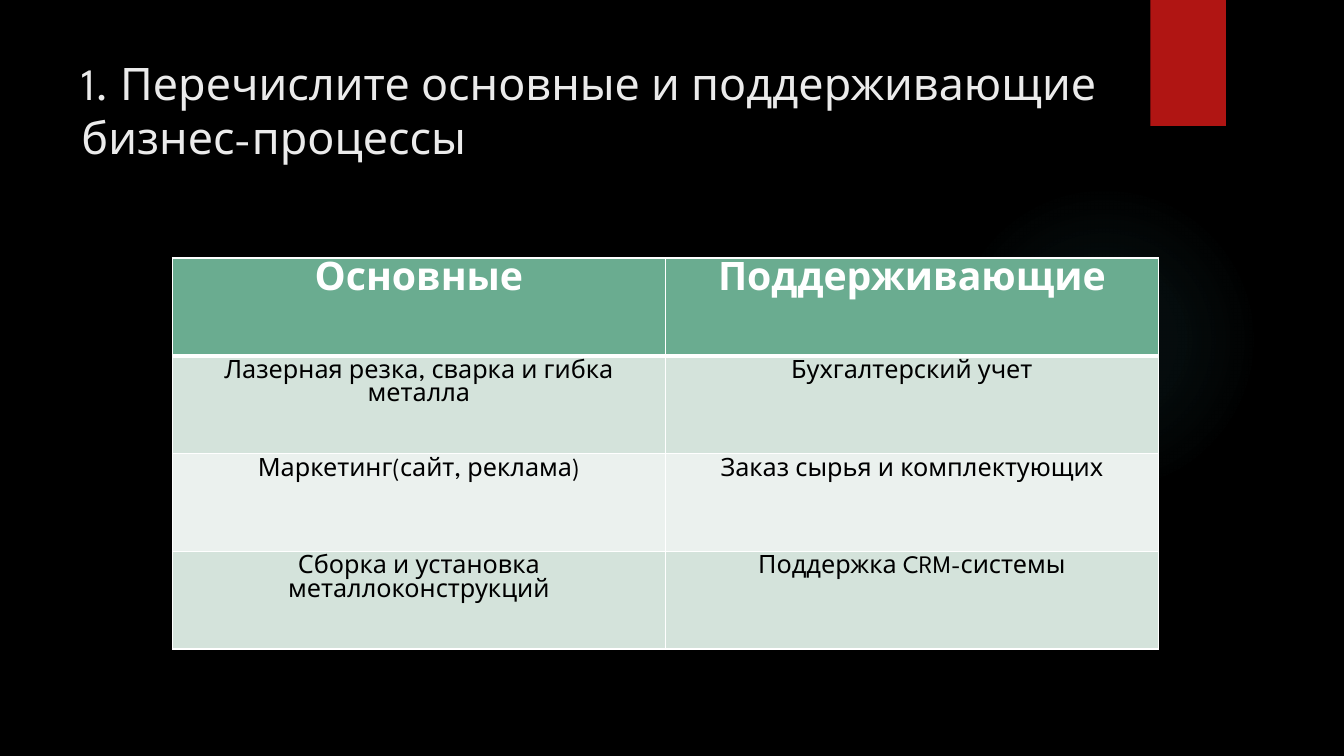
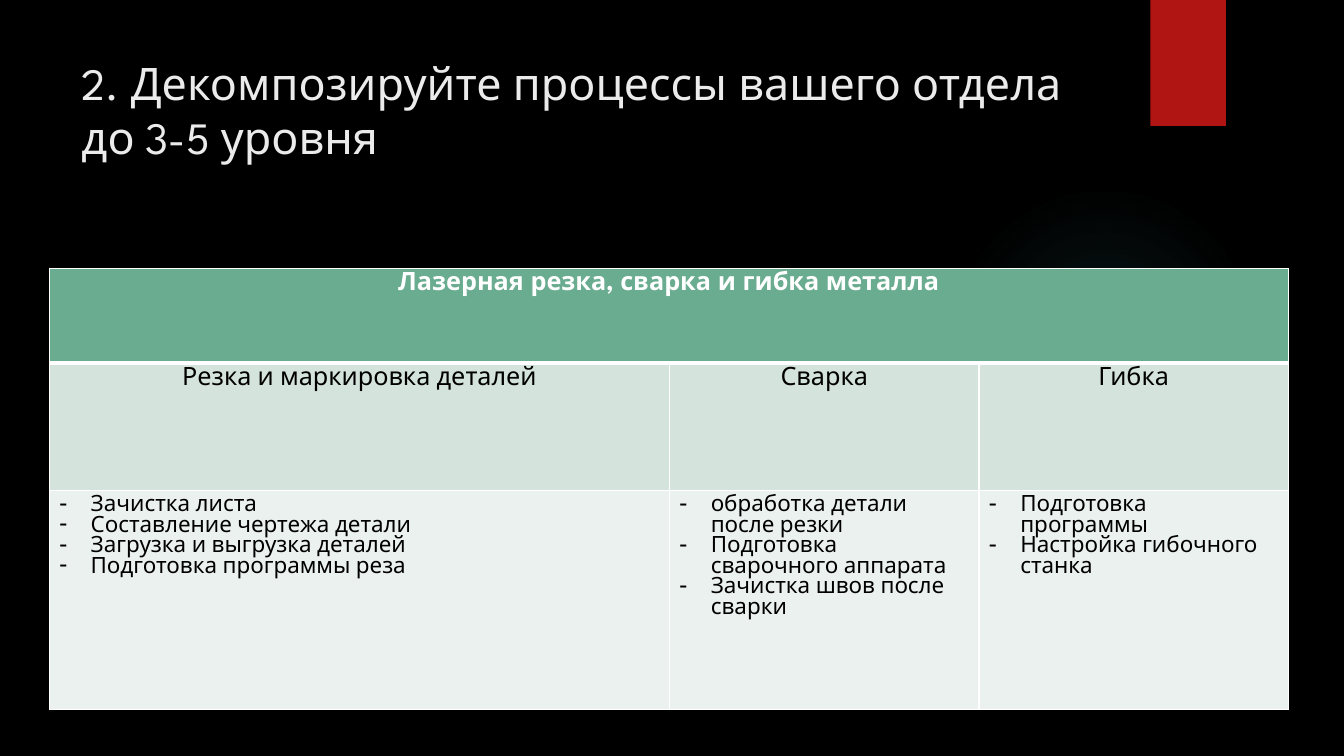
from lxml import etree
from pptx import Presentation
from pptx.dml.color import RGBColor
from pptx.enum import shapes, text
from pptx.oxml import ns, parse_xml
from pptx.util import Inches, Pt

FONT = "League Spartan"
COLORS = {
    "background": "000000",
    "title": "EBEBEB",
    "glow": "50B9C1",
    "ribbon": "B01513",
    "header": "6AAC90",
    "band_dark": "D4E3DB",
    "band_light": "EBF1EE",
    "header_text": "FFFFFF",
    "body_text": "000000",
    "border": "FFFFFF",
    "shadow": "000000",
}
GLOW_STOPS = [(0, 7), (36, 6), (69, 0)]

SLIDES = [
    {
        "title": "1. Перечислите основные и поддерживающие бизнес-процессы",
        "position": (1.71, 2.56),
        "columns": [4.89, 4.89],
        "rows": [0.97] * 4,
        "sizes": [28, 18, 18, 18],
        "cells": [
            ["Основные", "Поддерживающие"],
            ["Лазерная резка, сварка и гибка металла", "Бухгалтерский учет"],
            ["Маркетинг(сайт, реклама)", "Заказ сырья и комплектующих"],
            ["Сборка и установка металлоконструкций", "Поддержка CRM-системы"],
        ],
    },
    {
        "title": "2. Декомпозируйте процессы вашего отдела до 3-5 уровня",
        "position": (0.49, 2.66),
        "columns": [6.15, 3.07, 3.07],
        "rows": [0.94, 1.27, 2.17],
        "sizes": [18, 18, 16],
        "cells": [
            ["Лазерная резка, сварка и гибка металла"],
            ["Резка и маркировка деталей", "Сварка", "Гибка"],
            [
                ["Зачистка листа", "Составление чертежа детали",
                 "Загрузка и выгрузка деталей", "Подготовка программы реза"],
                ["обработка детали после резки", "Подготовка сварочного аппарата",
                 "Зачистка швов после сварки"],
                ["Подготовка программы", "Настройка гибочного станка"],
            ],
        ],
    },
]


def color(name):
    return RGBColor.from_string(COLORS[name])


def style_paragraph(paragraph, size, color_name, bold=False):
    for run in paragraph.runs:
        run.font.name = FONT
        run.font.size = Pt(size)
        run.font.bold = bold
        run.font.color.rgb = color(color_name)


def add_plain_shape(slide, preset, left, top, width, height):
    shape = slide.shapes.add_shape(
        preset, Inches(left), Inches(top), Inches(width), Inches(height))
    shape.shadow.inherit = False
    shape.line.fill.background()
    return shape


def add_glow(slide):
    glow = add_plain_shape(slide, shapes.MSO_SHAPE.OVAL, 9.41, 1.83, 3.08, 3.08)
    stops = "".join(
        f'<a:gs pos="{position * 1000}"><a:srgbClr val="{COLORS["glow"]}">'
        f'<a:alpha val="{alpha * 1000}"/></a:srgbClr></a:gs>'
        for position, alpha in GLOW_STOPS)
    gradient = parse_xml(
        f'<a:gradFill {ns.nsdecls("a")}><a:gsLst>{stops}</a:gsLst><a:path path="circle">'
        '<a:fillToRect l="50000" t="50000" r="50000" b="50000"/></a:path></a:gradFill>')
    glow._element.spPr.find(ns.qn("a:prstGeom")).addnext(gradient)


def add_ribbon(slide):
    ribbon = add_plain_shape(slide, shapes.MSO_SHAPE.RECTANGLE, 11.41, 0, 0.75, 1.25)
    ribbon.fill.solid()
    ribbon.fill.fore_color.rgb = color("ribbon")
    effects = ribbon._element.spPr.find(ns.qn("a:effectLst"))
    effects.append(parse_xml(
        f'<a:outerShdw {ns.nsdecls("a")} blurRad="{Pt(3)}" dist="{Pt(2)}" dir="5400000">'
        f'<a:srgbClr val="{COLORS["shadow"]}"><a:alpha val="45000"/></a:srgbClr></a:outerShdw>'))


def add_title(slide, title):
    box = slide.shapes.add_textbox(Inches(0.71), Inches(0.5), Inches(10.29), Inches(1.53))
    box.text_frame.word_wrap = True
    box.text_frame.text = title
    paragraph = box.text_frame.paragraphs[0]
    paragraph.line_spacing = Pt(38.5)
    style_paragraph(paragraph, 32, "title")


def set_borders(cell, row):
    widths = {"L": 1, "R": 1, "T": 3 if row == 1 else 1, "B": 3 if row == 0 else 1}
    properties = cell._tc.get_or_add_tcPr()
    for index, (side, width) in enumerate(widths.items()):
        properties.insert(index, parse_xml(
            f'<a:ln{side} {ns.nsdecls("a")} w="{Pt(width)}"><a:solidFill>'
            f'<a:srgbClr val="{COLORS["border"]}"/></a:solidFill></a:ln{side}>'))


def add_dash(paragraph):
    properties = paragraph._p.get_or_add_pPr()
    properties.set("marL", str(Inches(0.31)))
    properties.set("indent", str(-Inches(0.31)))
    etree.SubElement(properties, ns.qn("a:buChar")).set("char", "-")


def fill_cell(cell, content, size, row):
    is_list = isinstance(content, list)
    cell.text_frame.text = "\n".join(content) if is_list else content
    for paragraph in cell.text_frame.paragraphs:
        style_paragraph(paragraph, size, "body_text" if row else "header_text", row == 0)
        if is_list:
            add_dash(paragraph)
        else:
            paragraph.alignment = text.PP_ALIGN.CENTER


def add_process_table(slide, data):
    columns, rows = data["columns"], data["rows"]
    left, top = data["position"]
    table = slide.shapes.add_table(
        len(rows), len(columns), Inches(left), Inches(top),
        Inches(sum(columns)), Inches(sum(rows))).table
    for column, width in zip(table.columns, columns):
        column.width = Inches(width)
    for row, height in enumerate(rows):
        table.rows[row].height = Inches(height)
        band = "header" if row == 0 else "band_dark" if row % 2 else "band_light"
        for cell in table.rows[row].cells:
            cell.fill.solid()
            cell.fill.fore_color.rgb = color(band)
            set_borders(cell, row)
        contents = data["cells"][row]
        if len(contents) < len(columns):
            table.cell(row, 0).merge(table.cell(row, len(columns) - 1))
        for column, content in enumerate(contents):
            fill_cell(table.cell(row, column), content, data["sizes"][row], row)


def main():
    presentation = Presentation()
    presentation.slide_width = Inches(13.33)
    presentation.slide_height = Inches(7.5)
    for data in SLIDES:
        slide = presentation.slides.add_slide(presentation.slide_layouts[6])
        slide.background.fill.solid()
        slide.background.fill.fore_color.rgb = color("background")
        add_glow(slide)
        add_ribbon(slide)
        add_title(slide, data["title"])
        add_process_table(slide, data)
    presentation.save("out.pptx")


if __name__ == "__main__":
    main()
